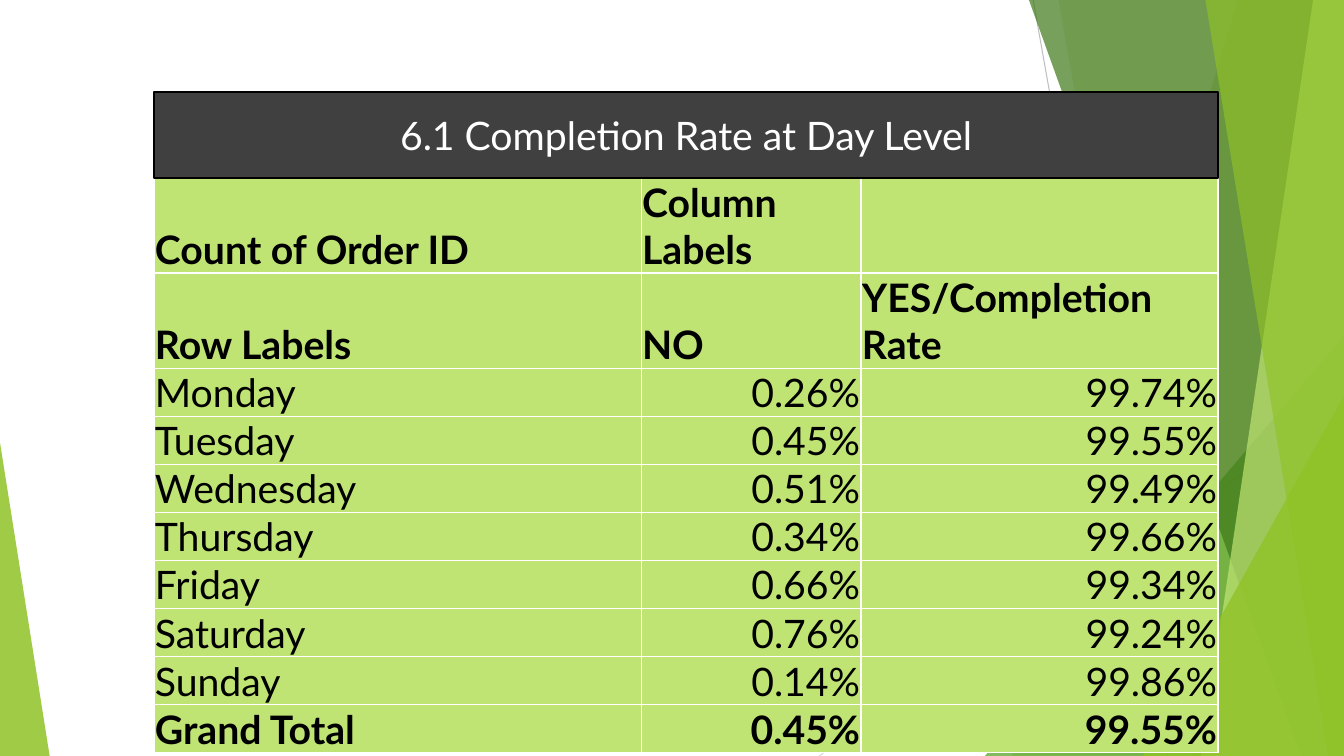
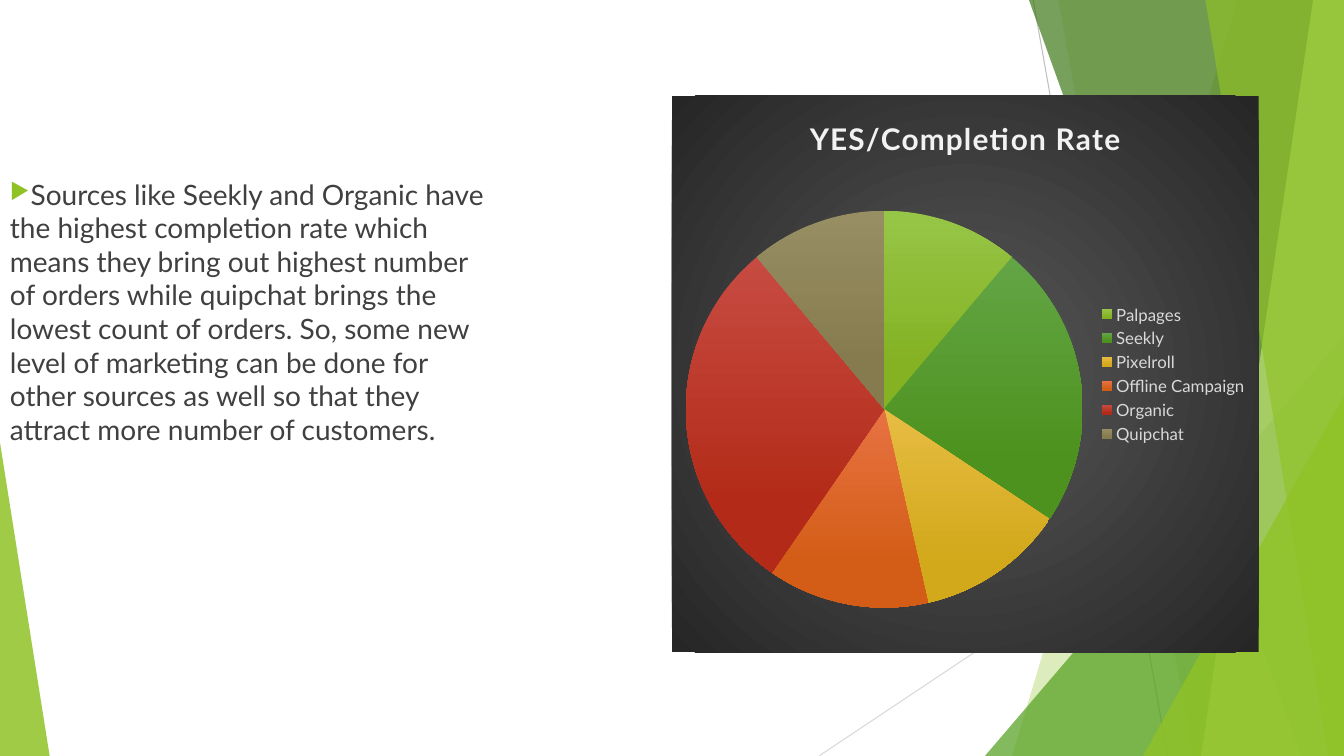
from lxml import etree
from pptx import Presentation
from pptx.chart.data import CategoryChartData
from pptx.dml.color import RGBColor
from pptx.enum import chart as ch, shapes as sh, text as tx
from pptx.oxml import parse_xml
from pptx.oxml.ns import nsdecls, qn
from pptx.util import Pt

W, H = 960, 540
FONT = "Lato"
LIME, GREEN, DARK, PALE, GREY = "90C226", "54A021", "3F7819", "C0E474", "404040"

LINES = [((738, 0), (834, H), "BFBFBF"), ((W, 290), (585, H), "D9D9D9")]
BANDS = [
    ("band", (884, 723), LIME, 30),
    ("band", (756, 852), LIME, 20),
    ("tri", (703.5, 240, 256.5, 300, 1), GREEN, 72),
    ("band", (735, 929.5), DARK, 70),
    ("band", (938, 858), PALE, 70),
    ("band", (861, 949), LIME, 65),
    ("tri", (816.5, 283, 143.5, 257, 1), LIME, 80),
    ("tri", (0, 316, 35.5, 224, 0), LIME, 85),
]

TITLE = "6.1 Completion Rate at Day Level"
COLS = [348, 157, 255]
ROWS = [
    ("Count of Order ID", "Column Labels", ""),
    ("Row Labels", "NO", "YES/Completion Rate"),
    ("Monday", "0.26%", "99.74%"),
    ("Tuesday", "0.45%", "99.55%"),
    ("Wednesday", "0.51%", "99.49%"),
    ("Thursday", "0.34%", "99.66%"),
    ("Friday", "0.66%", "99.34%"),
    ("Saturday", "0.76%", "99.24%"),
    ("Sunday", "0.14%", "99.86%"),
    ("Grand Total", "0.45%", "99.55%"),
]
HEADS, LINE = 2, 34

NOTE = (
    "Sources like Seekly and Organic have the highest completion rate which "
    "means they bring out highest number of orders while quipchat brings the "
    "lowest count of orders. So, some new level of marketing can be done for "
    "other sources as well so that they attract more number of customers."
)
RATE = "YES/Completion Rate"
PIE = [
    ("Palpages", 11, "97C547", "84B223"),
    ("Seekly", 23, "63A545", "4D921E"),
    ("Pixelroll", 12, "E7BC43", "D2A91B"),
    ("Offline Campaign", 13, "E87242", "D35D16"),
    ("Organic", 29, "C74B42", "B32B18"),
    ("Quipchat", 11, "988E64", "857B4E"),
]


def rgb(code):
    """Turn a hex string into a colour."""
    return RGBColor.from_string(code)


def put(obj, **vals):
    """Set each named attribute."""
    for key, val in vals.items():
        setattr(obj, key, val)


def style(font, size, color, bold=False):
    """Give a font its face, size, colour and weight."""
    put(font, name=FONT, size=Pt(size), bold=bold)
    font.color.rgb = rgb(color)


def box(*nums):
    """Turn plain numbers into points."""
    return [Pt(n) for n in nums]


def paint(shape, color, alpha=100):
    """Fill a shape, without outline or shadow."""
    shape.shadow.inherit = False
    shape.fill.solid()
    shape.fill.fore_color.rgb = rgb(color)
    shape.line.fill.background()
    if alpha < 100:
        clr = shape.element.spPr.find(".//" + qn("a:srgbClr"))
        etree.SubElement(clr, qn("a:alpha"), val=str(alpha * 1000))


def rule(shapes, start, end, color):
    """Draw one thin line."""
    line = shapes.add_connector(sh.MSO_CONNECTOR.STRAIGHT, *box(*start, *end))
    line.line.width = Pt(0.75)
    line.line.color.rgb = rgb(color)
    etree.SubElement(line.element.spPr, qn("a:effectLst"))
    return line


def facet(shapes, kind, dims, color, alpha):
    """Draw a band to the right edge or a corner triangle."""
    if kind == "band":
        top, low = dims
        pen = shapes.build_freeform(*box(top, 0), scale=1.0)
        pen.add_line_segments([box(W, 0), box(W, H), box(low, H)], close=True)
        part = pen.convert_to_shape()
    else:
        part = shapes.add_shape(sh.MSO_SHAPE.ISOSCELES_TRIANGLE, *box(*dims[:4]))
        part.adjustments[0] = dims[4]
    paint(part, color, alpha)
    return part


def decorate(layout, slide):
    """Put the shared lines and facets on the layout."""
    for hold in list(layout.placeholders):
        hold.element.getparent().remove(hold.element)
    parts = [rule(slide.shapes, *row) for row in LINES]
    parts += [facet(slide.shapes, *row) for row in BANDS]
    for part in parts:
        layout.shapes.element.append(part.element)


def edge(cell):
    """Give a cell thin white borders."""
    props = cell._tc.get_or_add_tcPr()
    for i, side in enumerate("LRTB"):
        props.insert(i, parse_xml(
            f'<a:ln{side} {nsdecls("a")} w="12700"><a:solidFill>'
            f'<a:srgbClr val="FFFFFF"/></a:solidFill></a:ln{side}>'))


def days(slide):
    """Build the table of days under its title bar."""
    left, top, wide = 110, 127, sum(COLS)
    high = LINE * (len(ROWS) + HEADS)
    table = slide.shapes.add_table(
        len(ROWS), len(COLS), *box(left, top, wide, high)).table
    put(table, first_row=False, horz_banding=False)
    for col, size in zip(table.columns, COLS):
        col.width = Pt(size)
    for r, row in enumerate(ROWS):
        table.rows[r].height = Pt(LINE * (2 if r < HEADS else 1))
        for c, word in enumerate(row):
            cell = table.cell(r, c)
            put(cell, text=word, vertical_anchor=tx.MSO_ANCHOR.BOTTOM,
                margin_left=Pt(0.7), margin_right=Pt(0.7),
                margin_top=Pt(0.7), margin_bottom=0)
            cell.fill.solid()
            cell.fill.fore_color.rgb = rgb(PALE)
            edge(cell)
            para = cell.text_frame.paragraphs[0]
            style(para.font, 28, "000000")
            if c and r >= HEADS:
                para.alignment = tx.PP_ALIGN.RIGHT
            for run in para.runs:
                style(run.font, 28, "000000", r < HEADS or r == len(ROWS) - 1)
    bar = slide.shapes.add_shape(
        sh.MSO_SHAPE.RECTANGLE, *box(left, top - 61.5, wide, 61.5))
    paint(bar, GREY)
    bar.line.width = Pt(1.5)
    bar.line.color.rgb = rgb("000000")
    bar.text_frame.vertical_anchor = tx.MSO_ANCHOR.MIDDLE
    para = bar.text_frame.paragraphs[0]
    put(para, text=TITLE, alignment=tx.PP_ALIGN.CENTER)
    style(para.runs[0].font, 28, "FFFFFF")


def note(slide):
    """Add the bulleted remark."""
    frame = slide.shapes.add_textbox(*box(0, 123, 362, 271)).text_frame
    frame.word_wrap = True
    para = frame.paragraphs[0]
    put(para, text=NOTE, space_before=Pt(10))
    style(para.runs[0].font, 20, GREY)
    props = para._p.get_or_add_pPr()
    put(props, marL=0, indent=Pt(-27))
    clr = etree.SubElement(props, qn("a:buClr"))
    etree.SubElement(clr, qn("a:srgbClr"), val=LIME)
    etree.SubElement(props, qn("a:buSzPct"), val="80000")
    etree.SubElement(props, qn("a:buChar"), char="▶")


def rates(slide):
    """Build the pie of completion rates."""
    data = CategoryChartData()
    data.categories = [row[0] for row in PIE]
    data.add_series(RATE, [row[1] for row in PIE])
    chart = slide.shapes.add_chart(
        ch.XL_CHART_TYPE.PIE, *box(480, 68.5, 419, 397.5), data).chart
    style(chart.font, 10, "000000")
    put(chart, has_title=True, has_legend=True)
    head = chart.chart_title.text_frame
    head.text = RATE
    run = head.paragraphs[0].runs[0]
    style(run.font, 21.3, "F2F2F2", True)
    run._r.get_or_add_rPr().set("spc", "100")
    put(chart.legend, position=ch.XL_LEGEND_POSITION.RIGHT,
        include_in_layout=False)
    style(chart.legend.font, 12, "D9D9D9")
    plot = chart.plots[0]
    plot.vary_by_categories = True
    for i, (_, _, light, deep) in enumerate(PIE):
        fill = plot.series[0].points[i].format.fill
        fill.gradient()
        fill.gradient_angle = 270
        for stop, color, place in zip(fill.gradient_stops, (light, deep), (0, 0.78)):
            stop.color.rgb = rgb(color)
            stop.position = place
    back = parse_xml(
        f'<c:spPr {nsdecls("c", "a")}><a:gradFill><a:gsLst>'
        '<a:gs pos="0"><a:srgbClr val="595959"/></a:gs>'
        '<a:gs pos="100000"><a:srgbClr val="262626"/></a:gs></a:gsLst>'
        '<a:path path="circle"><a:fillToRect l="50000" t="50000" r="50000" '
        'b="50000"/></a:path></a:gradFill><a:ln><a:noFill/></a:ln></c:spPr>')
    chart.element.find(qn("c:chart")).addnext(back)


def main():
    """Build and save both slides."""
    deck = Presentation()
    put(deck, slide_width=Pt(W), slide_height=Pt(H))
    blank = deck.slide_layouts[6]
    first, second = [deck.slides.add_slide(blank) for _ in range(2)]
    decorate(blank, first)
    days(first)
    note(second)
    rates(second)
    deck.save("out.pptx")


if __name__ == "__main__":
    main()
